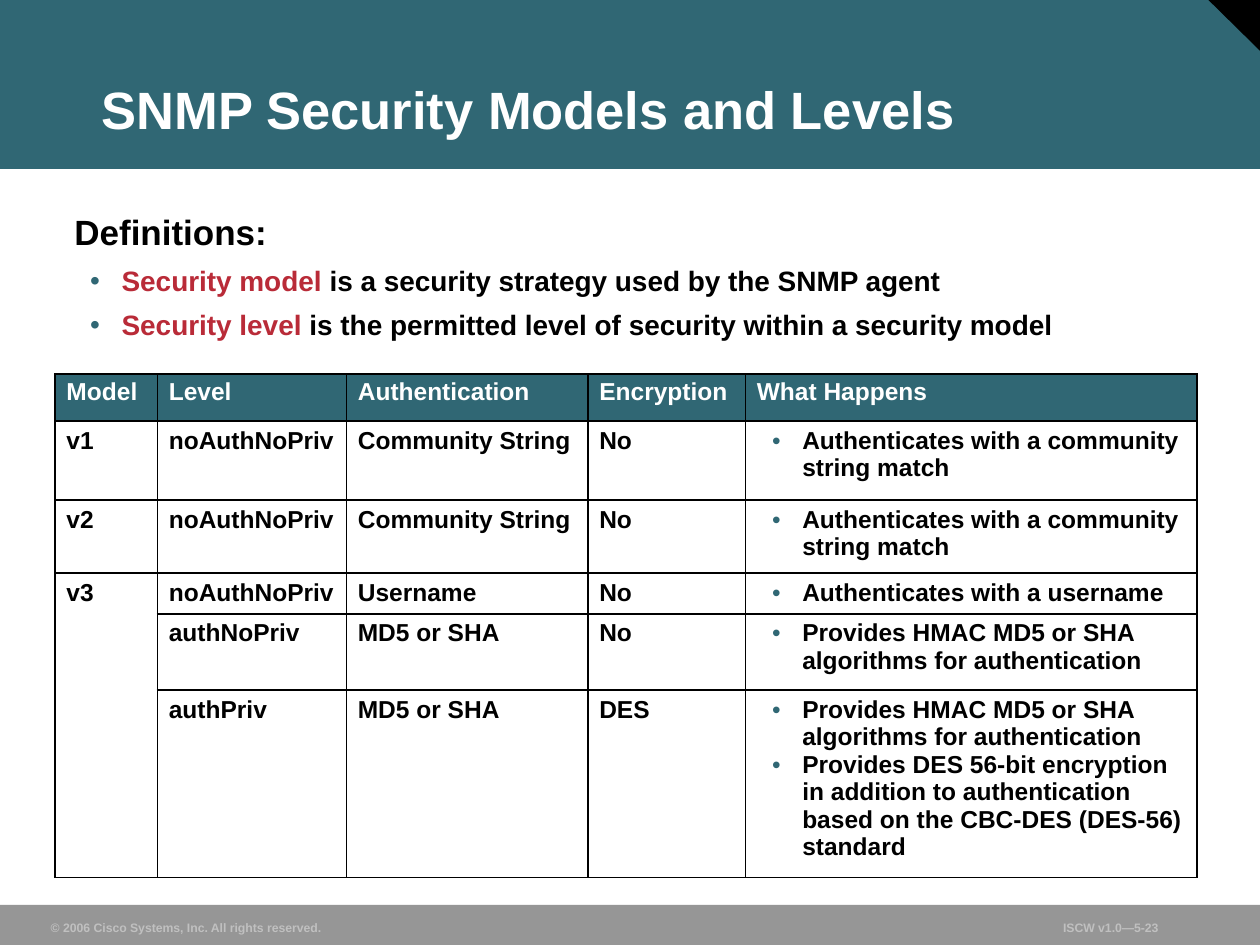
from lxml.etree import SubElement
from pptx import Presentation
from pptx.dml.color import RGBColor
from pptx.enum.shapes import MSO_SHAPE as Preset
from pptx.enum.text import MSO_ANCHOR as Anchor, MSO_AUTO_SIZE as AutoSize, PP_ALIGN as Align
from pptx.oxml import parse_xml
from pptx.oxml.ns import nsdecls, qn
from pptx.util import Pt

COLORS = {
    "teal": "306774",
    "black": "000000",
    "white": "FFFFFF",
    "gray": "969696",
    "silver": "C0C0C0",
    "red": "B92B38",
}


def apply(target, values):
    for name, value in values.items():
        setattr(target, name, value)


class SlideBuilder:
    font = "Arial"
    text_insets = (6.5, 3.2)
    cell_insets = (6.5, 3.4)
    border_width = 1.08

    def __init__(self, slide):
        self.slide = slide

    def rgb(self, color):
        return RGBColor.from_string(COLORS[color])

    def insets(self, sides):
        across, down = map(Pt, sides)
        return {"margin_left": across, "margin_right": across, "margin_top": down, "margin_bottom": down}

    def shape(self, preset, box, color, rotation=0):
        shape = self.slide.shapes.add_shape(preset, *map(Pt, box))
        shape.shadow.inherit = False
        shape.fill.solid()
        shape.fill.fore_color.rgb = self.rgb(color)
        shape.line.fill.background()
        shape.rotation = rotation

    def paragraph(self, paragraph, runs, size, bullet=None, **format_values):
        properties = paragraph._p.get_or_add_pPr()
        margin, hanging = bullet or (0, 0)
        properties.set("marL", str(Pt(margin)))
        properties.set("indent", str(Pt(-hanging)))
        if bullet:
            bullet_color = SubElement(properties, qn("a:buClr"))
            SubElement(bullet_color, qn("a:srgbClr"), val=COLORS["teal"])
            SubElement(properties, qn("a:buFont"), typeface=self.font)
            SubElement(properties, qn("a:buChar"), char="•")
            paragraph.level = 1
        else:
            SubElement(properties, qn("a:buNone"))
        apply(paragraph, {"alignment": Align.LEFT, "space_before": Pt(0), **format_values})
        for text, color in runs:
            run = paragraph.add_run()
            run.text = text
            apply(run.font, {"name": self.font, "size": Pt(size), "bold": True})
            run.font.color.rgb = self.rgb(color)

    def placeholder(self, holder, box, anchor):
        self.slide.shapes.element.append(holder.element)
        apply(holder, dict(zip(("left", "top", "width", "height"), map(Pt, box))))
        frame = holder.text_frame
        apply(frame, {
            "vertical_anchor": anchor, "word_wrap": True,
            "auto_size": AutoSize.NONE, **self.insets(self.text_insets),
        })
        return frame

    def title(self, text, box):
        frame = self.placeholder(self.slide.shapes.title, box, Anchor.BOTTOM)
        self.paragraph(frame.paragraphs[0], [(text, "white")], 30, line_spacing=0.9)

    def definitions(self, heading, entries, box):
        frame = self.placeholder(self.slide.placeholders[1], box, Anchor.TOP)
        self.paragraph(frame.paragraphs[0], [(heading, "black")], 20, line_spacing=0.95)
        for term, meaning in entries:
            self.paragraph(
                frame.add_paragraph(), [(term, "red"), (meaning, "black")], 16,
                bullet=(27, 18), line_spacing=0.95, space_before=Pt(7),
            )

    def footer(self, text, box):
        frame = self.slide.shapes.add_textbox(*map(Pt, box)).text_frame
        apply(frame, {
            "vertical_anchor": Anchor.BOTTOM, "word_wrap": False,
            "auto_size": AutoSize.SHAPE_TO_FIT_TEXT, **self.insets(self.text_insets),
        })
        self.paragraph(frame.paragraphs[0], [(text, "silver")], 7)

    def cell(self, cell, lines, is_header, bulleted):
        apply(cell, {"vertical_anchor": Anchor.TOP, **self.insets(self.cell_insets)})
        cell.fill.solid()
        cell.fill.fore_color.rgb = self.rgb("teal" if is_header else "white")
        properties = cell._tc.get_or_add_tcPr()
        for position, side in enumerate(("lnL", "lnR", "lnT", "lnB")):
            properties.insert(position, parse_xml(
                f'<a:{side} {nsdecls("a")} w="{Pt(self.border_width)}"><a:solidFill>'
                f'<a:srgbClr val="{COLORS["black"]}"/></a:solidFill></a:{side}>'
            ))
        frame = cell.text_frame
        for index, line in enumerate(lines):
            paragraph = frame.add_paragraph() if index else frame.paragraphs[0]
            self.paragraph(
                paragraph, [(line, "white" if is_header else "black")], 14,
                bullet=(26, 17.25) if bulleted else None,
                line_spacing=0.95 if is_header else 1.0,
            )

    def table(self, rows, origin, widths, heights, merged):
        size = sum(widths), sum(heights)
        table = self.slide.shapes.add_table(len(rows), len(widths), *map(Pt, origin + size)).table
        apply(table, {"first_row": False, "horz_banding": False})
        for column, width in zip(table.columns, widths):
            column.width = Pt(width)
        for row, height in zip(table.rows, heights):
            row.height = Pt(height)
        for row_index, values in enumerate(rows):
            for column_index, value in enumerate(values):
                is_header = row_index == 0
                bulleted = isinstance(value, list)
                lines = value if bulleted else [value] if value else []
                self.cell(table.cell(row_index, column_index), lines, is_header, bulleted)
        first, last = merged
        table.cell(*first).merge(table.cell(*last))


def main():
    deck = Presentation()
    apply(deck, {"slide_width": Pt(720), "slide_height": Pt(540)})
    builder = SlideBuilder(deck.slides.add_slide(deck.slide_layouts[1]))

    builder.shape(Preset.RECTANGLE, (0, 0, 720, 96.5), "teal")
    builder.shape(Preset.RIGHT_TRIANGLE, (690, -0.5, 30, 29.5), "black", rotation=180)
    builder.shape(Preset.RECTANGLE, (0, 517, 720, 23.5), "gray")
    builder.footer("© 2006 Cisco Systems, Inc. All rights reserved.", (22.5, 522.5, 168, 15))
    builder.footer("ISCW v1.0—5-23", (601, 522.5, 93.5, 15))
    builder.title("SNMP Security Models and Levels", (51.5, 18, 641.5, 66))

    community = ["Authenticates with a community string match"]
    hmac = "Provides HMAC MD5 or SHA algorithms for authentication"
    des = (
        "Provides DES 56-bit encryption in addition to authentication "
        "based on the CBC-DES (DES-56) standard"
    )
    security_rows = [
        ("Model", "Level", "Authentication", "Encryption", "What Happens"),
        ("v1", "noAuthNoPriv", "Community String", "No", community),
        ("v2", "noAuthNoPriv", "Community String", "No", community),
        ("v3", "noAuthNoPriv", "Username", "No", ["Authenticates with a username"]),
        ("", "authNoPriv", "MD5 or SHA", "No", [hmac]),
        ("", "authPriv", "MD5 or SHA", "DES", [hmac, des]),
    ]
    builder.table(
        security_rows, (31.5, 213.75),
        widths=(58.5, 108, 138, 90, 258),
        heights=(26.75, 45.25, 41.75, 23.25, 43.5, 107.25),
        merged=((3, 0), (5, 0)),
    )
    builder.definitions(
        "Definitions:",
        [
            ("Security model", " is a security strategy used by the SNMP agent"),
            ("Security level", " is the permitted level of security within a security model"),
        ],
        (36, 119, 642, 80),
    )
    deck.save("out.pptx")


if __name__ == "__main__":
    main()
